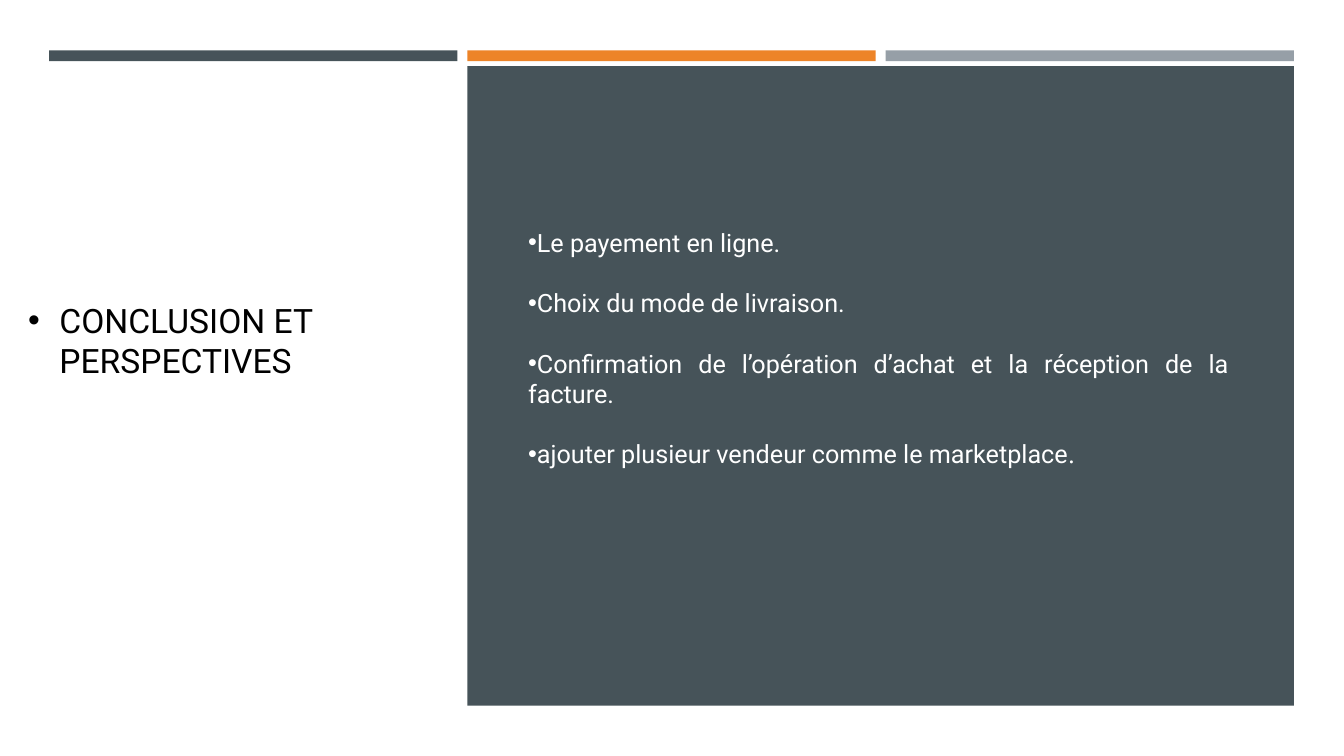
from lxml import etree
from pptx import Presentation
from pptx.dml.color import RGBColor
from pptx.enum import shapes, text
from pptx.oxml import ns
from pptx import util as u

COLORS = {"slate": "465359", "orange": "ED8428", "grey": "969FA7",
          "white": "FFFFFF", "black": "000000"}


def add_block(left, top, width, height, color):
    """Draw a plain filled rectangle, measured in centimetres."""
    block = page.shapes.add_shape(shapes.MSO_SHAPE.RECTANGLE, u.Cm(left), u.Cm(top),
                                  u.Cm(width), u.Cm(height))
    block.shadow.inherit = False
    block.fill.solid()
    block.fill.fore_color.rgb = RGBColor.from_string(COLORS[color])
    block.line.fill.background()


def add_bullets(left, width, height, items, size, color, hanging, gap, align):
    """Add a middle-anchored bulleted box; each item is a list of (words, font)."""
    box = page.shapes.add_textbox(u.Cm(left), u.Cm(2.97), u.Cm(width), u.Cm(height))
    frame = box.text_frame
    frame.word_wrap = True
    frame.vertical_anchor = text.MSO_ANCHOR.MIDDLE
    for index, item in enumerate(items):
        para = frame.add_paragraph() if index else frame.paragraphs[0]
        para.alignment = align
        para.space_before = u.Pt(gap if index else 0)
        settings = para._p.get_or_add_pPr()
        settings.set("marL", str(u.Cm(hanging)))
        settings.set("indent", str(-u.Cm(hanging)))
        etree.SubElement(settings, ns.qn("a:buFont")).set("typeface", "Arial")
        etree.SubElement(settings, ns.qn("a:buChar")).set("char", "•")
        for words, font in item:
            span = para.add_run()
            span.text = words
            span.font.name = font
            span.font.size = u.Pt(size)
            span.font.color.rgb = RGBColor.from_string(COLORS[color])


deck = Presentation()
deck.slide_width, deck.slide_height = u.Cm(33.87), u.Cm(19.05)
page = deck.slides.add_slide(deck.slide_layouts[6])
page.background.fill.solid()
page.background.fill.fore_color.rgb = RGBColor.from_string(COLORS["white"])

# Three bars across the top, then the panel under the last two
bar_left, bar_width, bar_step = 1.24, 10.29, 10.54
for column, color in enumerate(("slate", "orange", "grey")):
    add_block(bar_left + column * bar_step, 1.27, bar_width, 0.27, color)
add_block(bar_left + bar_step, 1.67, bar_step + bar_width, 16.11, "slate")

title = [[("CONCLUSION ET PERSPECTIVES", "Roboto")]]
add_bullets(0.46, 11.5, 11.2, title, 24, "black", 0.79, 0, text.PP_ALIGN.LEFT)

perspectives = [
    [("Le payement en ligne.", "Roboto")],
    [("Choix du mode de livraison.", "Roboto")],
    [("Confirmation de l’opération d’achat et la réception de la facture.", "Roboto")],
    [("ajouter plusieur vendeur comme le marketplace", "Roboto"), (".", "Times New Roman")],
]
add_bullets(13.06, 18.16, 11.6, perspectives, 18, "white", 0, 21.6, text.PP_ALIGN.JUSTIFY)

deck.save("out.pptx")
